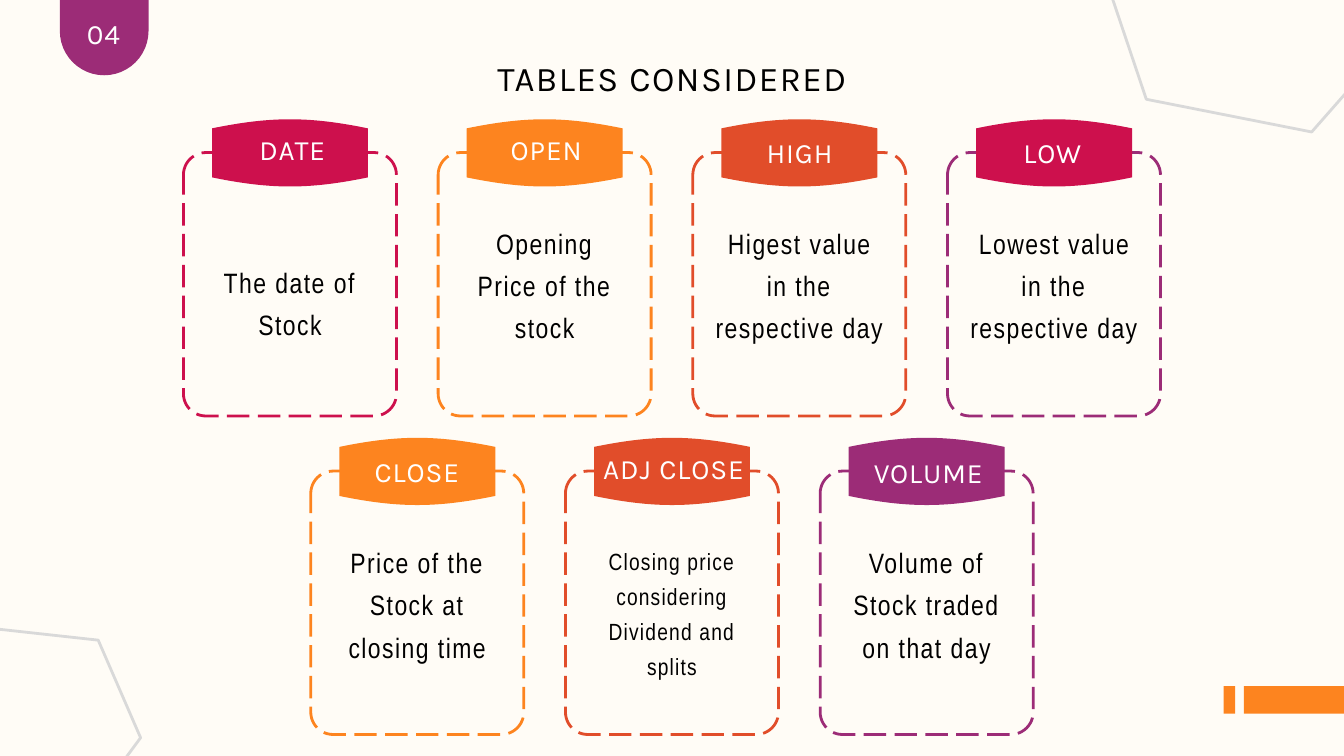
"""Build the slide that explains the seven columns of a stock price table."""
from pptx import Presentation
from pptx.dml.color import RGBColor
from pptx.enum.dml import MSO_LINE
from pptx.enum.shapes import MSO_SHAPE
from pptx.enum.text import MSO_ANCHOR, MSO_AUTO_SIZE, PP_ALIGN
from pptx.oxml.ns import qn
from pptx.util import Inches, Pt

CREAM = RGBColor(0xFF, 0xFC, 0xF6)
BLACK = RGBColor(0, 0, 0)
WHITE = RGBColor(0xFF, 0xFF, 0xFF)
GREY = RGBColor(0xD9, 0xD9, 0xD9)
CRIMSON = RGBColor(0xCD, 0x10, 0x4D)
ORANGE = RGBColor(0xFD, 0x84, 0x1F)
RED = RGBColor(0xE1, 0x4D, 0x2A)
PURPLE = RGBColor(0x9C, 0x2C, 0x77)

TITLE = {"name": "Karla", "size": 37.1, "color": BLACK, "leading": 51.9, "spacing": 1.6}
LABEL = {"name": "Karla", "size": 30, "color": WHITE, "leading": 42, "spacing": 1}
NUMBER = {**LABEL, "spacing": 0.9}
BODY = {"name": "Arial Narrow", "size": 30, "color": BLACK, "leading": 45, "spacing": 1.6}
SMALL = {**BODY, "size": 25.1, "leading": 37.6, "spacing": 1.3}

# label, colours of frame and banner, label offset, body lines, body drop and size, style
ROWS = [
    (2.27, [
        ("DATE", CRIMSON, CRIMSON, (0.49, -0.38), ["The date of Stock"], (1.55, 2.75, 1.24), BODY),
        ("OPEN", ORANGE, ORANGE, (0.48, -0.38), ["Opening Price of the stock"], (0.97, 2.26, 1.86), BODY),
        ("HIGH", RED, RED, (0.46, -0.33), ["Higest value", "in the respective day"], (0.97, 2.86, 1.86), BODY),
        ("LOW", PURPLE, CRIMSON, (0.43, -0.33), ["Lowest value", "in the respective day"], (0.97, 2.7, 1.86), BODY),
    ]),
    (7.01, [
        ("CLOSE", ORANGE, ORANGE, (0.45, -0.33), ["Price of the Stock at closing time"], (0.99, 2.59, 1.86), BODY),
        ("ADJ CLOSE", RED, RED, (0.48, -0.37), ["Closing price considering Dividend and splits"],
         (1.03, 2.69, 2.06), SMALL),
        ("VOLUME", PURPLE, PURPLE, (0.48, -0.32), ["Volume of Stock traded on that day"], (0.99, 2.56, 1.86), BODY),
    ]),
]
HEXAGONS = [((16.2, -2.59, 5.05, 4.34), 311.3), ((-1.08, 9.44, 3.19, 2.74), 306.4)]
BARS = [(18.51, 10.21, 1.49, 0.41), (18.21, 10.21, 0.17, 0.41)]

SLIDE_WIDTH, SLIDE_HEIGHT = 20, 11.25
CARD_WIDTH, CARD_HEIGHT, CARD_GAP = 3.17, 3.92, 0.62
BANNER_WIDTH, BANNER_RISE = 2.32, 0.54
BANNER_POINTS = [(0, 0.18), (0.88, 0), (1.44, 0), (2.32, 0.18),
                 (2.32, 0.91), (1.44, 1.09), (0.88, 1.09), (0, 0.91)]


def paint(shape, fill=None, line=None, dash=None):
    shape.shadow.inherit = False
    if fill is None:
        shape.fill.background()
    else:
        shape.fill.solid()
        shape.fill.fore_color.rgb = fill
    if line is None:
        shape.line.fill.background()
    else:
        shape.line.color.rgb = line
        shape.line.width = Pt(3)
        shape.line.dash_style = dash


def add_preset(slide, kind, box, adjustment=None, **colours):
    shape = slide.shapes.add_shape(kind, *map(Inches, box))
    if adjustment is not None:
        shape.adjustments[0] = adjustment
    paint(shape, **colours)
    return shape


def write(shape, lines, style):
    frame = shape.text_frame
    settings = {"margin_left": 0, "margin_right": 0, "margin_top": 0, "margin_bottom": 0,
                "word_wrap": True, "vertical_anchor": MSO_ANCHOR.TOP,
                "auto_size": MSO_AUTO_SIZE.SHAPE_TO_FIT_TEXT}
    for name, value in settings.items():
        setattr(frame, name, value)
    frame.text = "\n".join(lines)
    for paragraph in frame.paragraphs:
        paragraph.alignment = PP_ALIGN.CENTER
        paragraph.line_spacing = Pt(style["leading"])
        paragraph.space_before = Pt(0)
        for run in paragraph.runs:
            run.font.name = style["name"]
            run.font.size = Pt(style["size"])
            run.font.color.rgb = style["color"]
            run._r.get_or_add_rPr().set("spc", str(round(style["spacing"] * 100)))


def add_text(slide, box, lines, style):
    write(slide.shapes.add_textbox(*map(Inches, box)), lines, style)


def add_banner(slide, left, top, colour):
    points = [(Inches(left + x), Inches(top + y)) for x, y in BANNER_POINTS]
    builder = slide.shapes.build_freeform(*points[0])
    builder.add_line_segments(points[1:], close=True)
    banner = builder.convert_to_shape()
    segments = list(banner._element.iter(qn("a:lnTo")))
    for start in (0, 4):
        curve = segments[start].makeelement(qn("a:cubicBezTo"), {})
        segments[start].addprevious(curve)
        for segment in segments[start:start + 3]:
            curve.append(segment[0])
            segment.getparent().remove(segment)
    paint(banner, fill=colour)


def add_card(slide, left, top, card):
    label, frame_colour, banner_colour, (shift, drop), lines, (body_drop, width, height), style = card
    add_preset(slide, MSO_SHAPE.ROUNDED_RECTANGLE, (left, top, CARD_WIDTH, CARD_HEIGHT), 0.105,
               line=frame_colour, dash=MSO_LINE.LONG_DASH)
    add_banner(slide, left + (CARD_WIDTH - BANNER_WIDTH) / 2, top - BANNER_RISE, banner_colour)
    add_text(slide, (left + shift, top + drop, 2.26, 0.58), [label], LABEL)
    add_text(slide, (left + (CARD_WIDTH - width) / 2, top + body_drop, width, height), lines, style)


def main():
    presentation = Presentation()
    presentation.slide_width = Inches(SLIDE_WIDTH)
    presentation.slide_height = Inches(SLIDE_HEIGHT)
    slide = presentation.slides.add_slide(presentation.slide_layouts[5])
    slide.background.fill.solid()
    slide.background.fill.fore_color.rgb = CREAM

    title = slide.shapes.title
    for name, value in zip(("left", "top", "width", "height"), (4.7, 0.74, 10.6, 0.69)):
        setattr(title, name, Inches(value))
    write(title, ["TABLES CONSIDERED"], TITLE)

    for box, rotation in HEXAGONS:
        hexagon = add_preset(slide, MSO_SHAPE.HEXAGON, box, 0.29, line=GREY)
        hexagon.rotation = rotation
    add_preset(slide, MSO_SHAPE.ROUNDED_RECTANGLE, (0.89, -1.43, 1.32, 2.55), 0.5, fill=PURPLE)
    add_text(slide, (1.07, 0.16, 0.94, 0.56), ["04"], NUMBER)
    for box in BARS:
        add_preset(slide, MSO_SHAPE.RECTANGLE, box, fill=ORANGE)

    pitch = CARD_WIDTH + CARD_GAP
    for top, cards in ROWS:
        first_left = (SLIDE_WIDTH - len(cards) * pitch + CARD_GAP) / 2
        for index, card in enumerate(cards):
            add_card(slide, first_left + index * pitch, top, card)

    presentation.save("out.pptx")


if __name__ == "__main__":
    main()
